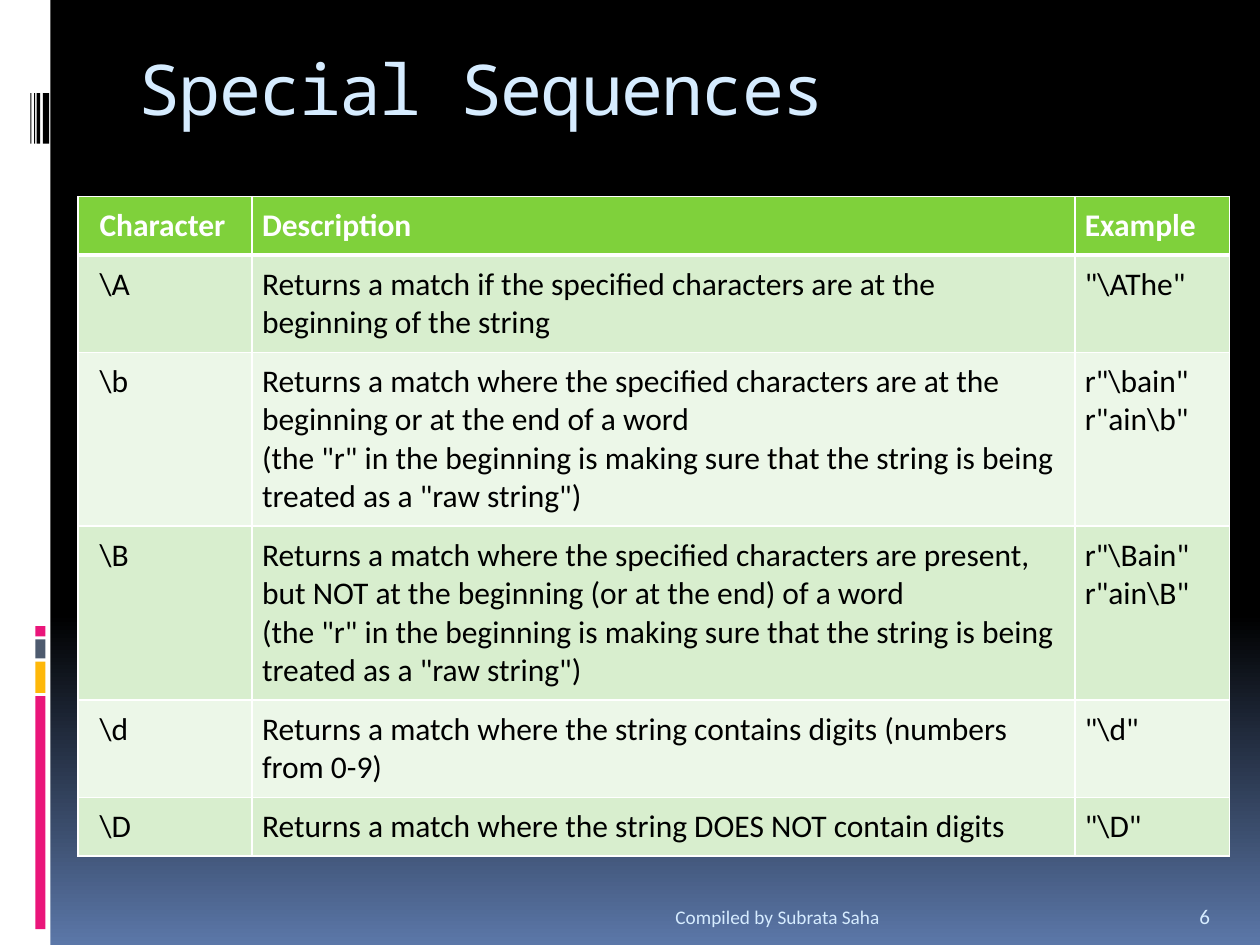
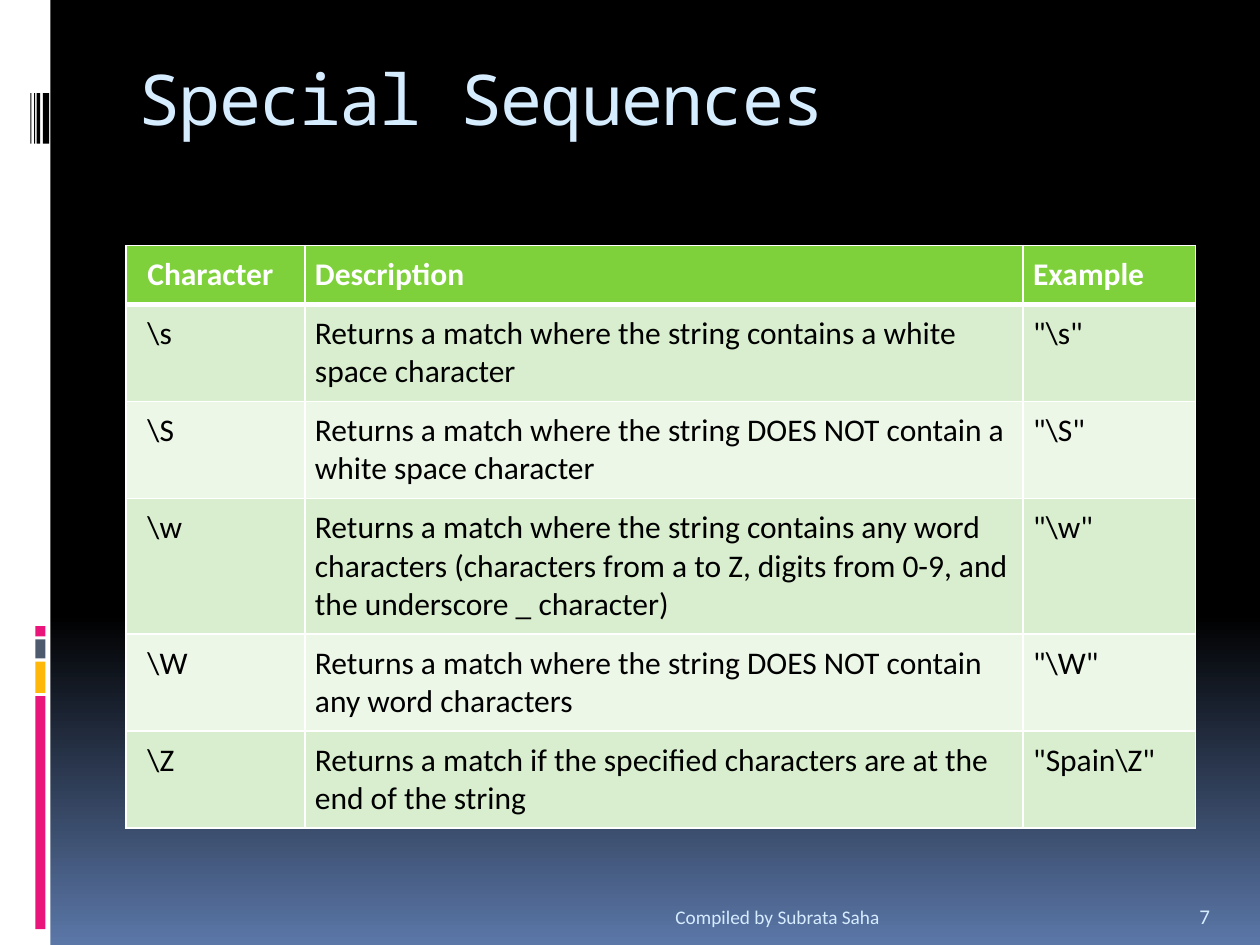
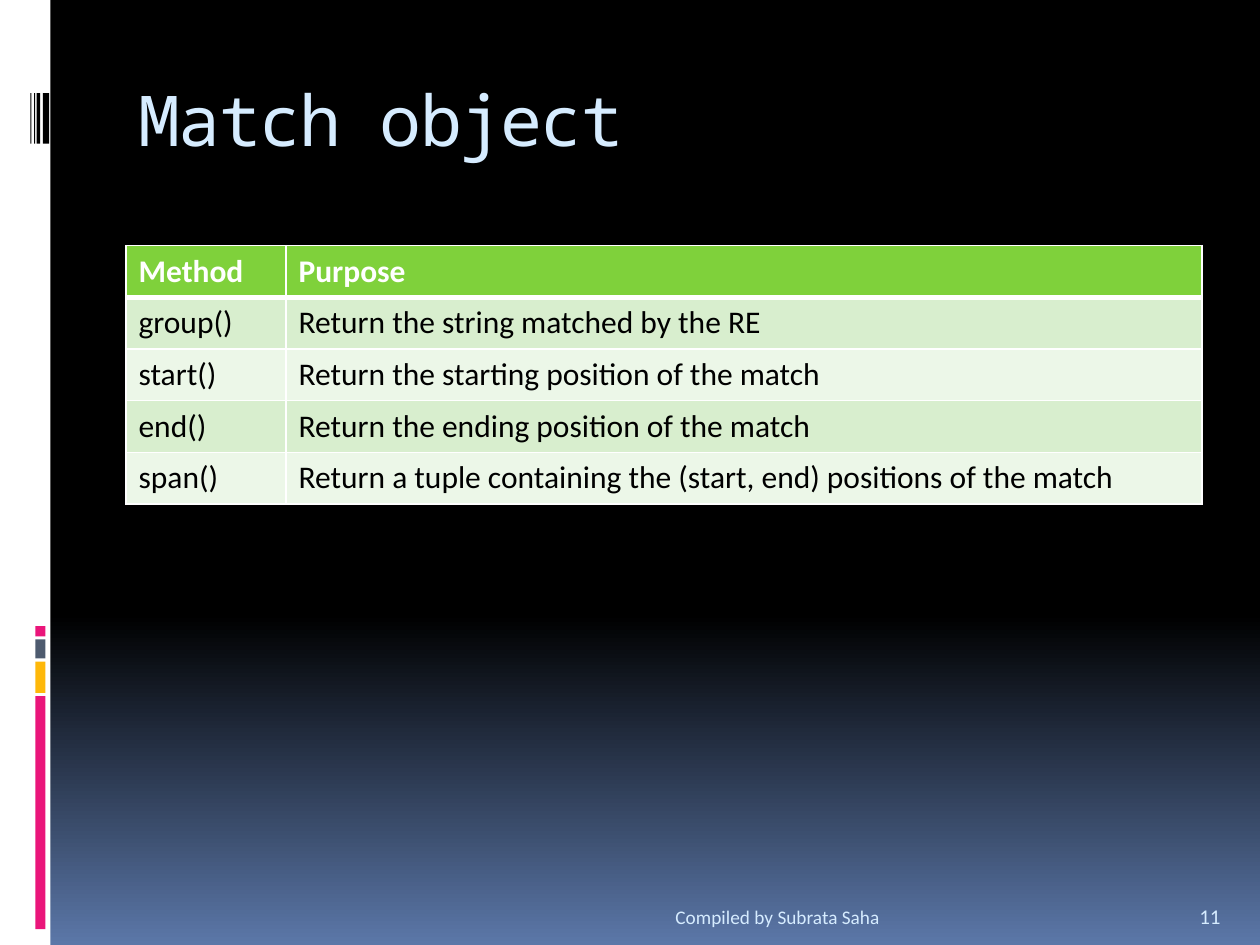
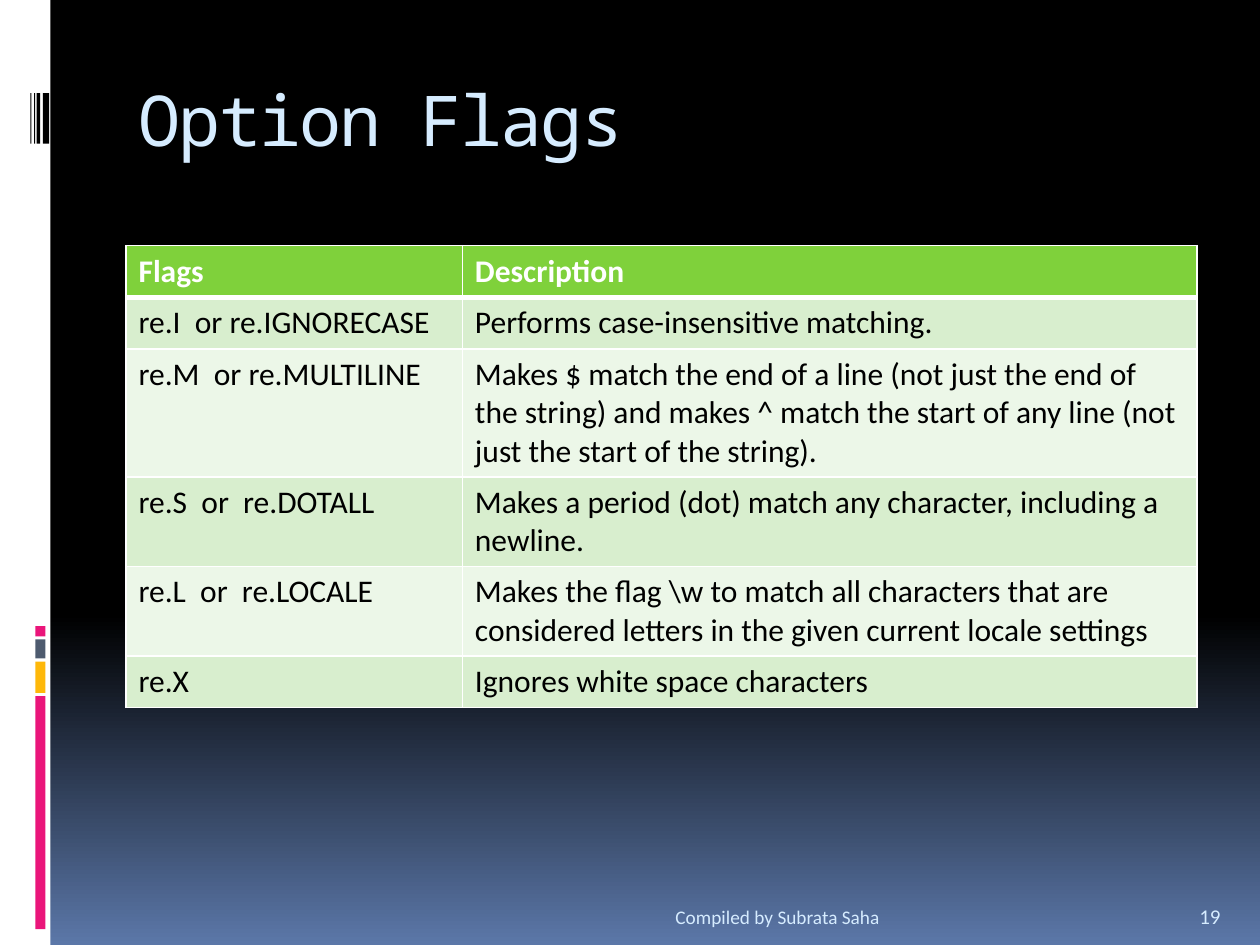
from copy import deepcopy
from dataclasses import dataclass

from lxml import etree
from pptx import Presentation
from pptx import util as u
from pptx.dml.color import RGBColor
from pptx.enum import shapes, text
from pptx.oxml import ns


@dataclass(frozen=True)
class Theme:
    title_font: str = "Noto Sans Mono"
    body_font: str = "Calibri"
    title_size: int = 40
    table_size: int = 18
    number_size: int = 12
    footer_size: int = 11
    black: str = "000000"
    white: str = "FFFFFF"
    glow: str = "5B77A8"
    pale: str = "D6ECFF"
    pink: str = "EA157A"
    amber: str = "FEB80A"
    slate: str = "4E5B6F"
    header: str = "7FD13B"
    bands: tuple[str, str] = ("D8EECE", "ECF7E8")


@dataclass(frozen=True)
class Box:
    left: float
    top: float
    width: float
    height: float

    def emu(self) -> list[int]:
        return [u.Inches(v) for v in (self.left, self.top, self.width, self.height)]


@dataclass(frozen=True)
class CellStyle:
    """Cell margins in inches, with a separate left margin for the first column."""
    first_left: float = 0.1
    left: float = 0.1
    right: float = 0.1
    vertical: float = 0.05
    anchor: text.MSO_ANCHOR = text.MSO_ANCHOR.TOP
    align: text.PP_ALIGN = text.PP_ALIGN.LEFT


@dataclass(frozen=True)
class TableSlide:
    number: int
    title: str
    title_box: Box
    table_left: float
    table_top: float
    columns: tuple[float, ...]
    style: CellStyle
    rows: tuple[tuple[str, ...], ...]


T = Theme()
FOOTER = "Compiled by Subrata Saha"
FOOTER_BOX = Box(1, 7.02, 6.08, 0.4)
NUMBER_BOX = Box(9.42, 7.02, 0.5, 0.4)
ROW_HEIGHT = 0.41
RULE, HEADER_RULE = 1, 3

SEQUENCE_STYLE = CellStyle(0.17, 0.08, 0.08, 0.08)
METHOD_STYLE = CellStyle(anchor=text.MSO_ANCHOR.MIDDLE, align=text.PP_ALIGN.JUSTIFY)
SEQUENCE_HEAD = ("Character", "Description", "Example")
RAW_NOTE = ('\v(the "r" in the beginning is making sure that the string is being '
            'treated as a "raw string")')

SLIDES = (
    TableSlide(
        6, "Special Sequences", Box(1, 0.31, 8.5, 1), 0.62, 1.56,
        (1.38, 6.53, 1.23), SEQUENCE_STYLE,
        (SEQUENCE_HEAD,
         (r"\A", "Returns a match if the specified characters are at the beginning "
                 "of the string", r'"\AThe"'),
         (r"\b", "Returns a match where the specified characters are at the beginning "
                 "or at the end of a word" + RAW_NOTE, 'r"\\bain"\vr"ain\\b"'),
         (r"\B", "Returns a match where the specified characters are present, but NOT "
                 "at the beginning (or at the end) of a word" + RAW_NOTE,
          'r"\\Bain"\vr"ain\\B"'),
         (r"\d", "Returns a match where the string contains digits (numbers from 0-9)",
          r'"\d"'),
         (r"\D", "Returns a match where the string DOES NOT contain digits", r'"\D"'))),
    TableSlide(
        7, "Special Sequences", Box(1, 0.39, 8.5, 0.77), 1, 1.95,
        (1.42, 5.7, 1.37), SEQUENCE_STYLE,
        (SEQUENCE_HEAD,
         (r"\s", "Returns a match where the string contains a white space character",
          r'"\s"'),
         (r"\S", "Returns a match where the string DOES NOT contain a white space "
                 "character", r'"\S"'),
         (r"\w", "Returns a match where the string contains any word characters "
                 "(characters from a to Z, digits from 0-9, and the underscore _ "
                 "character)", r'"\w"'),
         (r"\W", "Returns a match where the string DOES NOT contain any word characters",
          r'"\W"'),
         (r"\Z", "Returns a match if the specified characters are at the end of the "
                 "string", r'"Spain\Z"'))),
    TableSlide(
        11, "Match object", Box(1, 0.56, 8.5, 1), 1, 1.95, (1.27, 7.27), METHOD_STYLE,
        (("Method", "Purpose"),
         ("group()", "Return the string matched by the RE"),
         ("start()", "Return the starting position of the match"),
         ("end()", "Return the ending position of the match"),
         ("span()", "Return a tuple containing the (start, end) positions of the match"))),
    TableSlide(
        19, "Option Flags", Box(1, 0.56, 8.5, 1), 1, 1.95, (2.67, 5.83), CellStyle(),
        (("Flags", "Description"),
         ("re.I  or re.IGNORECASE", "Performs case-insensitive matching."),
         ("re.M  or re.MULTILINE", "Makes $ match the end of a line (not just the end of "
                                   "the string) and makes ^ match the start of any line "
                                   "(not just the start of the string)."),
         ("re.S  or  re.DOTALL", "Makes a period (dot) match any character, including a "
                                 "newline."),
         ("re.L  or  re.LOCALE", "Makes the flag \\w to match all characters that are "
                                 "considered letters in the given current locale settings"),
         ("re.X", "Ignores white space characters"))),
)


def rgb(value: str) -> RGBColor:
    return RGBColor.from_string(value)


def set_attrs(target, values: dict) -> None:
    for name, value in values.items():
        setattr(target, name, value)


def set_text(tf, content: str, size: int, color: str, font: str = T.body_font,
             bold: bool = False, align: text.PP_ALIGN = text.PP_ALIGN.LEFT):
    p = tf.paragraphs[0]
    p.text = content
    p.alignment = align
    for r in p.runs:
        set_attrs(r.font, {"name": font, "size": u.Pt(size), "bold": bold})
        r.font.color.rgb = rgb(color)
    return p


def side_marks() -> list[tuple[Box, str]]:
    """White side band, stacked colour bars and thin black stripes."""
    marks = [(Box(0, 0, 0.4, 7.5), T.white)]
    top, gap = 4.97, 0.025
    for height, color in ((0.08, T.pink), (0.15, T.slate), (0.25, T.amber), (1.85, T.pink)):
        marks.append((Box(0.28, top, 0.08, height), color))
        top += height + gap
    stripes = ((0.34, 0.05), (0.29, 0.03), (0.27, 0.01), (0.24, 0.01))
    return marks + [(Box(left, 0.74, width, 0.4), T.black) for left, width in stripes]


def style_master(prs, slide) -> None:
    """Set the shared gradient and side marks, drawn on a slide and moved to the master."""
    master = prs.slide_master
    fill = master.background.fill
    fill.gradient()
    fill.gradient_angle = 270
    for stop, position, color in zip(fill.gradient_stops, (0.65, 1), (T.black, T.glow)):
        stop.position = position
        stop.color.rgb = rgb(color)
    stops = master.element.find(".//" + ns.qn("a:gsLst"))
    first = deepcopy(stops[0])
    first.set("pos", "0")
    stops.insert(0, first)

    tree = master.shapes.element
    for index, (box, color) in enumerate(side_marks(), start=2):
        sp = slide.shapes.add_shape(shapes.MSO_SHAPE.RECTANGLE, *box.emu())
        sp.shadow.inherit = False
        sp.fill.solid()
        sp.fill.fore_color.rgb = rgb(color)
        sp.line.fill.background()
        tree.insert(index, sp.element)


def add_title(slide, title: str, box: Box) -> None:
    sp = slide.shapes.title
    set_attrs(sp, dict(zip(("left", "top", "width", "height"), box.emu())))
    set_attrs(sp.text_frame, {"vertical_anchor": text.MSO_ANCHOR.TOP, "word_wrap": True,
                              "auto_size": text.MSO_AUTO_SIZE.NONE})
    p = set_text(sp.text_frame, title, T.title_size, T.pale, T.title_font)
    for r in p.runs:
        r.font._element.set("spc", "-100")


def add_label(slide, content: str, box: Box, size: int, align: text.PP_ALIGN) -> None:
    tf = slide.shapes.add_textbox(*box.emu()).text_frame
    set_attrs(tf, {"word_wrap": True, "vertical_anchor": text.MSO_ANCHOR.BOTTOM})
    set_text(tf, content, size, T.pale, align=align)


def add_borders(cell, row: int) -> None:
    widths = {"L": RULE, "R": RULE, "T": HEADER_RULE if row == 1 else RULE,
              "B": HEADER_RULE if row == 0 else RULE}
    tc_pr = cell._tc.get_or_add_tcPr()
    for side, width in widths.items():
        ln = etree.SubElement(tc_pr, ns.qn(f"a:ln{side}"), w=str(u.Pt(width)))
        solid = etree.SubElement(ln, ns.qn("a:solidFill"))
        etree.SubElement(solid, ns.qn("a:srgbClr"), val=T.white)


def format_cell(cell, content: str, row: int, col: int, style: CellStyle) -> None:
    is_header = row == 0
    add_borders(cell, row)
    cell.fill.solid()
    cell.fill.fore_color.rgb = rgb(T.header if is_header else T.bands[(row - 1) % 2])
    set_attrs(cell, {
        "margin_left": u.Inches(style.left if col else style.first_left),
        "margin_right": u.Inches(style.right),
        "margin_top": u.Inches(style.vertical),
        "margin_bottom": u.Inches(style.vertical),
        "vertical_anchor": style.anchor,
    })
    set_text(cell.text_frame, content, T.table_size, T.white if is_header else T.black,
             bold=is_header, align=style.align)


def add_data_table(slide, data: TableSlide) -> None:
    box = Box(data.table_left, data.table_top, sum(data.columns),
              ROW_HEIGHT * len(data.rows))
    table = slide.shapes.add_table(len(data.rows), len(data.columns), *box.emu()).table
    table.horz_banding = False
    for column, width in zip(table.columns, data.columns):
        column.width = u.Inches(width)
    for row, values in enumerate(data.rows):
        table.rows[row].height = u.Inches(ROW_HEIGHT)
        for col, content in enumerate(values):
            format_cell(table.cell(row, col), content, row, col, data.style)


def main() -> None:
    prs = Presentation()
    prs.slide_width, prs.slide_height = u.Inches(10), u.Inches(7.5)
    title_only = prs.slide_layouts.get_by_name("Title Only")
    for data in SLIDES:
        slide = prs.slides.add_slide(title_only)
        add_title(slide, data.title, data.title_box)
        add_data_table(slide, data)
        add_label(slide, FOOTER, FOOTER_BOX, T.footer_size, text.PP_ALIGN.RIGHT)
        add_label(slide, str(data.number), NUMBER_BOX, T.number_size, text.PP_ALIGN.LEFT)
    style_master(prs, prs.slides[0])
    prs.save("out.pptx")


if __name__ == "__main__":
    main()
